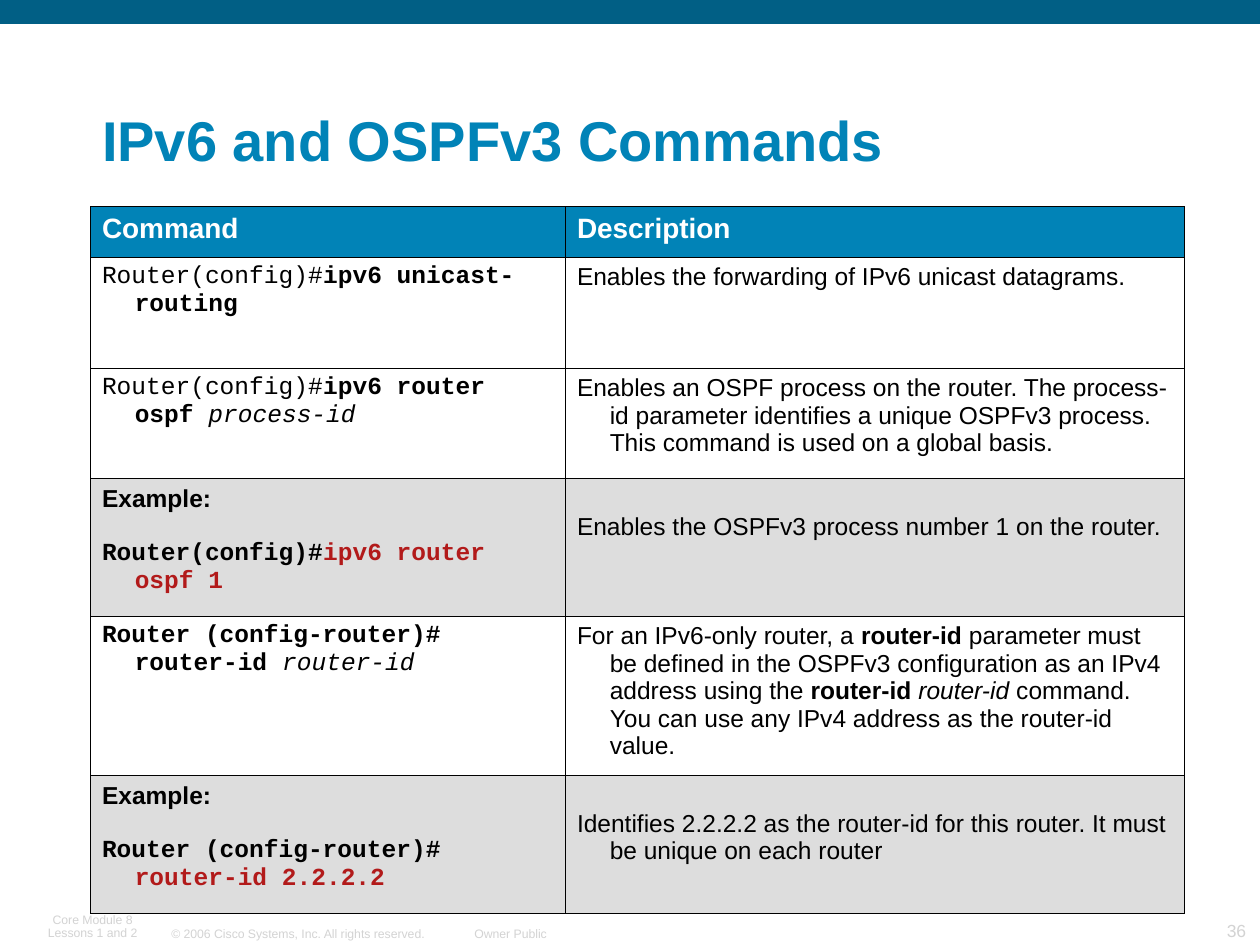
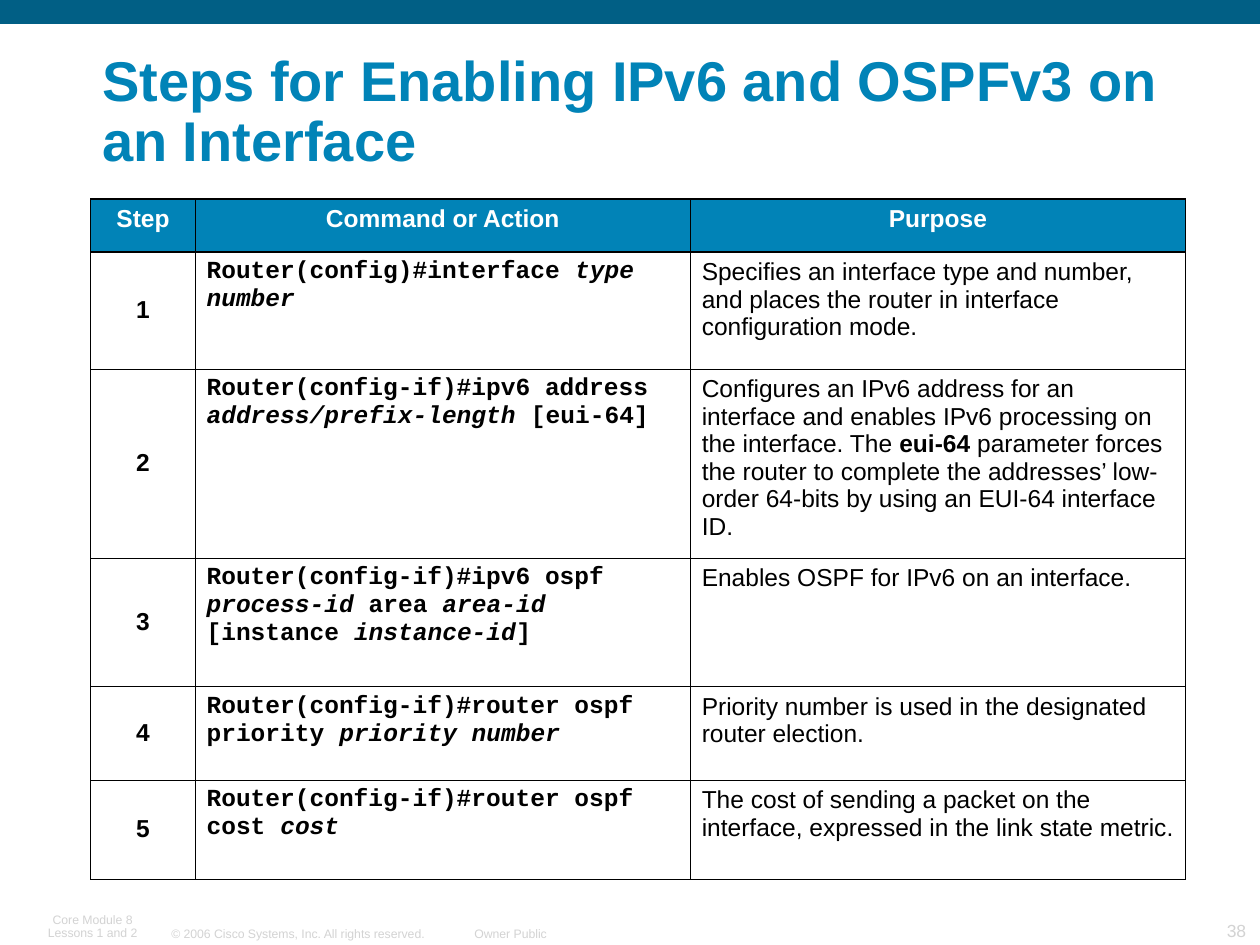
from dataclasses import dataclass

from lxml.etree import SubElement
from pptx import Presentation
from pptx.dml.color import RGBColor
from pptx.enum.shapes import MSO_SHAPE
from pptx.enum.text import MSO_ANCHOR, PP_ALIGN
from pptx.oxml.ns import qn
from pptx.util import Inches, Pt


@dataclass(frozen=True)
class Theme:
    band: str = "015F85"
    accent: str = "0183B7"
    white: str = "FFFFFF"
    ink: str = "000000"
    red: str = "B21A1A"
    example: str = "DDDDDD"
    muted: str = "D3D3D3"
    sans: str = "Arial"
    mono: str = "Courier New"
    title_size: float = 32
    body_size: float = 14
    footer_size: float = 7
    number_size: float = 10
    thin: float = 0.45
    heavy: float = 0.96


THEME = Theme()
LEFT, CENTER, RIGHT = PP_ALIGN.LEFT, PP_ALIGN.CENTER, PP_ALIGN.RIGHT
HANGING = Inches(0.26)
BLANK_LINE = 0.22


def write(frame, paragraphs, size, color, align=LEFT, spacing=1.0, gap=0, hanging=False):
    """Fill a frame with paragraphs of (text, style) runs.

    Style letters: m monospace, b bold, i italic, r red.
    """
    frame.word_wrap = True
    for index, runs in enumerate(paragraphs):
        paragraph = frame.paragraphs[0] if index == 0 else frame.add_paragraph()
        paragraph.alignment = align
        paragraph.line_spacing = spacing
        if index:
            paragraph.space_before = Inches(gap)
        if hanging:
            properties = paragraph._p.get_or_add_pPr()
            properties.set("marL", str(HANGING))
            properties.set("indent", str(-HANGING))
        for text, style in runs:
            run = paragraph.add_run()
            run.text = text
            run.font.name = THEME.mono if "m" in style else THEME.sans
            run.font.size = Pt(size)
            run.font.bold = "b" in style
            run.font.italic = "i" in style
            run.font.color.rgb = RGBColor.from_string(THEME.red if "r" in style else color)


def add_borders(cell, widths):
    """Draw the cell edges; widths maps L, R, T and B to points."""
    properties = cell._tc.get_or_add_tcPr()
    for edge, width in widths.items():
        line = SubElement(properties, qn(f"a:ln{edge}"), w=str(Pt(width)))
        fill = SubElement(line, qn("a:solidFill"))
        SubElement(fill, qn("a:srgbClr"), val=THEME.ink)


# Each cell is a list of paragraphs, each paragraph a list of (text, style) runs.
command_rows = [
    ([[("Command", "b")]], [[("Description", "b")]]),
    ([[("Router(config)#", "m"), ("ipv6 unicast-routing", "mb")]],
     [[("Enables the forwarding of IPv6 unicast datagrams.", "")]]),
    ([[("Router(config)#", "m"), ("ipv6 router ospf ", "mb"), ("process-id", "mi")]],
     [[("Enables an OSPF process on the router. The process-id parameter identifies "
        "a unique OSPFv3 process. This command is used on a global basis.", "")]]),
    ([[("Example:", "b")], [("Router(config)#", "mb"), ("ipv6 router ospf 1", "mbr")]],
     [[("Enables the OSPFv3 process number 1 on the router.", "")]]),
    ([[("Router (config-router)# router-id ", "mb"), ("router-id", "mi")]],
     [[("For an IPv6-only router, a ", ""), ("router-id ", "b"),
       ("parameter must be defined in the OSPFv3 configuration as an IPv4 address "
        "using the ", ""),
       ("router-id", "b"), (" router-id", "i"),
       (" command. You can use any IPv4 address as the router-id value.", "")]]),
    ([[("Example:", "b")],
      [("Router (config-router)# ", "mb"), ("router-id 2.2.2.2", "mbr")]],
     [[("Identifies 2.2.2.2 as the router-id for this router. "
        "It must be unique on each router", "")]]),
]

interface_steps = [
    ([("Router(config)#interface ", "mb"), ("type number", "mbi")],
     [("Specifies an interface type and number, and places the router in interface "
       "configuration mode.", "")]),
    ([("Router(config-if)#ipv6 address ", "mb"), ("address/prefix-length ", "mbi"),
      ("[eui-64]", "mb")],
     [("Configures an IPv6 address for an interface and enables IPv6 processing on "
       "the interface. The ", ""), ("eui-64", "b"),
      (" parameter forces the router to complete the addresses’ low-order 64-bits "
       "by using an EUI-64 interface ID.", "")]),
    ([("Router(config-if)#ipv6 ospf ", "mb"), ("process-id", "mbi"), (" area ", "mb"),
      ("area-id", "mbi"), (" [instance ", "mb"), ("instance-id", "mbi"), ("]", "mb")],
     [("Enables OSPF for IPv6 on an interface.", "")]),
    ([("Router(config-if)#router ospf priority ", "mb"), ("priority number", "mbi")],
     [("Priority number is used in the designated router election.", "")]),
    ([("Router(config-if)#router ospf cost ", "mb"), ("cost", "mbi")],
     [("The cost of sending a packet on the interface, expressed in the link state "
       "metric.", "")]),
]
step_rows = [tuple([[(heading, "b")]] for heading in ("Step", "Command or Action", "Purpose"))]
for number, (command, purpose) in enumerate(interface_steps, start=1):
    step_rows.append(([[(str(number), "b")]], [command], [purpose]))

lessons = [
    dict(title="IPv6 and OSPFv3 Commands", number="36", top=1.64, rows=command_rows,
         widths=[3.77, 4.91], heights=[0.4, 0.88, 0.88, 1.09, 1.26, 1.09],
         heading_size=16, heading_align=LEFT, heading_line=THEME.thin,
         hanging=True, numbered=False),
    dict(title="Steps for Enabling IPv6 and OSPFv3 on an Interface", number="38",
         top=1.58, rows=step_rows,
         widths=[0.83, 3.93, 3.93], heights=[0.42, 0.93, 1.49, 1.02, 0.74, 0.79],
         heading_size=14, heading_align=CENTER, heading_line=THEME.heavy,
         hanging=False, numbered=True),
]

presentation = Presentation()
presentation.slide_width = Inches(10)
presentation.slide_height = Inches(7.5)

for lesson in lessons:
    slide = presentation.slides.add_slide(presentation.slide_layouts[6])

    band = slide.shapes.add_shape(MSO_SHAPE.RECTANGLE, 0, 0, Inches(10), Inches(0.19))
    band.shadow.inherit = False
    band.fill.solid()
    band.fill.fore_color.rgb = RGBColor.from_string(THEME.band)
    band.line.fill.background()

    # Box, lines, size, colour, alignment, line spacing, style
    texts = [
        ((1.27, 7.3, 2.4, 0.21), ["© 2006 Cisco Systems, Inc. All rights reserved."],
         THEME.footer_size, THEME.muted, LEFT, 1.0, ""),
        ((3.63, 7.3, 0.8, 0.21), ["Owner Public"],
         THEME.footer_size, THEME.muted, RIGHT, 1.0, ""),
        ((0.21, 7.2, 1.05, 0.3), ["Core Module 8", "Lessons 1 and 2"],
         THEME.footer_size, THEME.muted, CENTER, 0.9, ""),
        ((9.17, 7.25, 0.81, 0.26), [lesson["number"]],
         THEME.number_size, THEME.muted, RIGHT, 1.0, ""),
        ((0.72, 0.5, 8.91, 0.92), [lesson["title"]],
         THEME.title_size, THEME.accent, LEFT, 0.9, "b"),
    ]
    for box, lines, size, color, align, spacing, style in texts:
        frame = slide.shapes.add_textbox(*map(Inches, box)).text_frame
        frame.vertical_anchor = MSO_ANCHOR.BOTTOM
        frame.margin_left = frame.margin_right = Inches(0.09)
        frame.margin_top = frame.margin_bottom = Inches(0.04)
        write(frame, [[(line, style)] for line in lines], size, color, align, spacing)

    rows, widths, heights = lesson["rows"], lesson["widths"], lesson["heights"]
    table = slide.shapes.add_table(
        len(rows), len(widths), Inches(0.72), Inches(lesson["top"]),
        Inches(sum(widths)), Inches(sum(heights))).table
    table.first_row = table.horz_banding = False
    for column, width in zip(table.columns, widths):
        column.width = Inches(width)

    for row_index, (row, height) in enumerate(zip(rows, heights)):
        table.rows[row_index].height = Inches(height)
        is_heading = row_index == 0
        is_example = row[0][0][0][0] == "Example:"
        for column_index, paragraphs in enumerate(row):
            cell = table.cell(row_index, column_index)
            is_step = lesson["numbered"] and column_index == 0 and not is_heading
            cell.margin_left = cell.margin_right = Inches(0.09)
            cell.margin_top = cell.margin_bottom = Inches(0.05)
            if is_example and column_index == 1:
                cell.margin_top = Inches(0.05 + BLANK_LINE)
            cell.vertical_anchor = MSO_ANCHOR.MIDDLE if is_step else MSO_ANCHOR.TOP

            add_borders(cell, {
                "L": THEME.thin,
                "R": THEME.thin,
                "T": lesson["heading_line"] if row_index <= 1 else THEME.thin,
                "B": lesson["heading_line"] if is_heading else THEME.thin,
            })
            if is_heading or is_example:
                cell.fill.solid()
                cell.fill.fore_color.rgb = RGBColor.from_string(
                    THEME.accent if is_heading else THEME.example)
            else:
                cell.fill.background()

            if is_heading:
                write(cell.text_frame, paragraphs, lesson["heading_size"], THEME.white,
                      lesson["heading_align"])
            else:
                write(cell.text_frame, paragraphs, THEME.body_size, THEME.ink,
                      CENTER if is_step else LEFT, 0.95 if is_step else 1.0,
                      BLANK_LINE, lesson["hanging"])

presentation.save("out.pptx")
